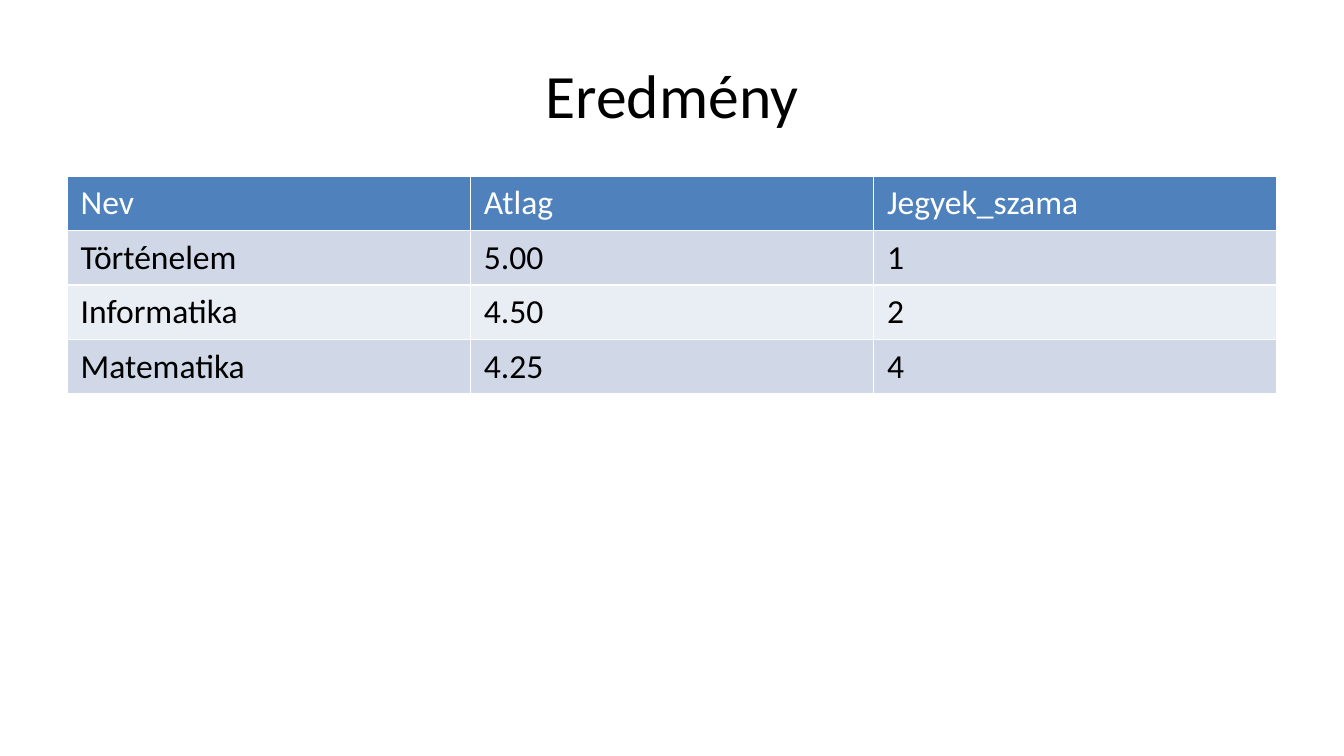
import pptx
import pptx.dml.color
import pptx.enum.text
import pptx.oxml
import pptx.oxml.ns
import pptx.util

Inches = pptx.util.Inches
Pt = pptx.util.Pt
RGBColor = pptx.dml.color.RGBColor

BLACK = RGBColor(0x00, 0x00, 0x00)
WHITE = RGBColor(0xFF, 0xFF, 0xFF)
BLUE = RGBColor(0x4F, 0x81, 0xBD)
BANDS = (RGBColor(0xD0, 0xD8, 0xE8), RGBColor(0xE9, 0xED, 0xF4))

FONT = "Calibri"
LEFT, WIDTH = 0.5, 9
ROW_H = 0.4

ROWS = (
    ("Nev", "Atlag", "Jegyek_szama"),
    ("Történelem", "5.00", "1"),
    ("Informatika", "4.50", "2"),
    ("Matematika", "4.25", "4"),
)


def set_font(para, size, color):
    for run in para.runs:
        run.font.name = FONT
        run.font.size = Pt(size)
        run.font.bold = False
        run.font.color.rgb = color


def add_title(slide, text):
    title = slide.shapes.title
    title.left, title.top = Inches(LEFT), Inches(0.23)
    title.width, title.height = Inches(WIDTH), Inches(0.94)
    frame = title.text_frame
    frame.text = text
    frame.vertical_anchor = pptx.enum.text.MSO_ANCHOR.MIDDLE
    para = frame.paragraphs[0]
    para.alignment = pptx.enum.text.PP_ALIGN.CENTER
    set_font(para, 33, BLACK)


def add_borders(cell, color, width):
    props = cell._tc.get_or_add_tcPr()
    for side in ("lnL", "lnR", "lnT", "lnB"):
        props.append(pptx.oxml.parse_xml(
            f'<a:{side} {pptx.oxml.ns.nsdecls("a")} w="{Pt(width)}">'
            f'<a:solidFill><a:srgbClr val="{color}"/></a:solidFill></a:{side}>'
        ))


def fill_cell(cell, text, fill, color):
    cell.text_frame.text = text
    set_font(cell.text_frame.paragraphs[0], 18, color)
    add_borders(cell, WHITE, 1)
    cell.fill.solid()
    cell.fill.fore_color.rgb = fill


def add_grid(slide, rows):
    frame = slide.shapes.add_table(
        len(rows), len(rows[0]), Inches(LEFT), Inches(1.31),
        Inches(WIDTH), Inches(ROW_H * len(rows)))
    for r, row in enumerate(rows):
        # Header row first, then alternating bands
        fill = BANDS[(r - 1) % 2] if r else BLUE
        color = BLACK if r else WHITE
        for c, text in enumerate(row):
            fill_cell(frame.table.cell(r, c), text, fill, color)


def main():
    deck = pptx.Presentation()
    # Widescreen, 16 to 9
    deck.slide_width = Inches(10)
    deck.slide_height = Inches(10 * 9 / 16)
    slide = deck.slides.add_slide(deck.slide_layouts[5])

    # Title
    add_title(slide, "Eredmény")

    # Result table
    add_grid(slide, ROWS)

    deck.save("out.pptx")


if __name__ == "__main__":
    main()
